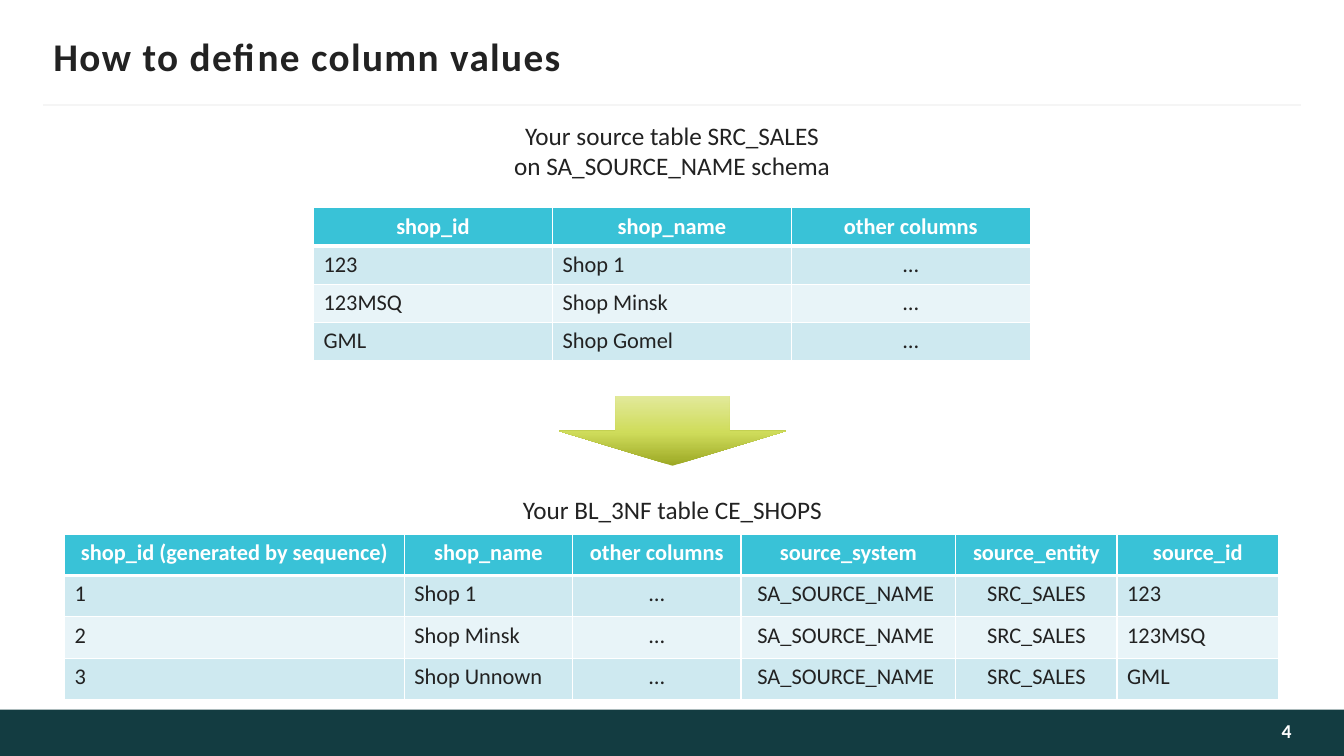
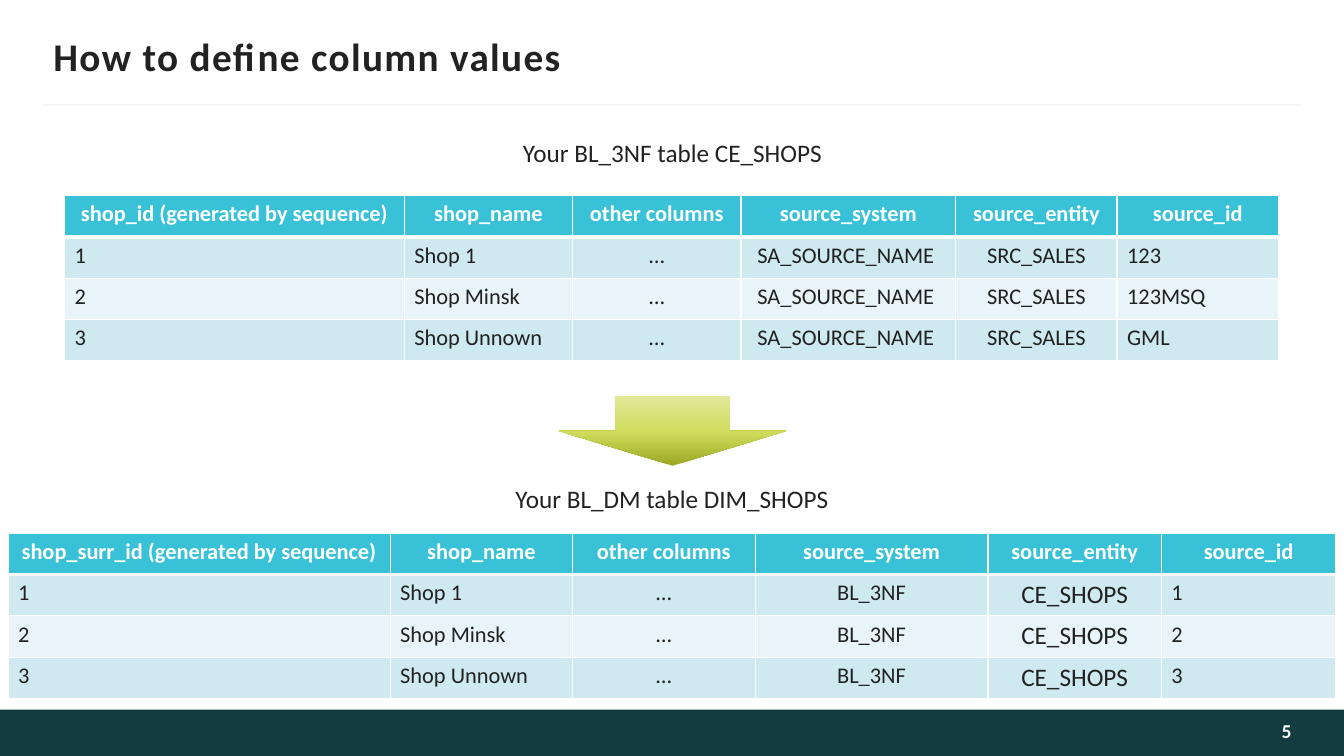
import copy

import lxml.etree
import pptx
import pptx.dml.color
import pptx.enum.shapes
import pptx.enum.text
import pptx.oxml.ns
import pptx.util

Inches = pptx.util.Inches
Pt = pptx.util.Pt
ALIGN = pptx.enum.text.PP_ALIGN
SHAPE = pptx.enum.shapes.MSO_SHAPE
qn = pptx.oxml.ns.qn

COLORS = {
    "text": "222222", "white": "FFFFFF", "number": "FEFEFE",
    "band": "133C41", "rule": "F5F5F5", "header": "39C2D7",
    "odd row": "CEE9F0", "even row": "E8F4F8",
    "arrow dark": "9CA824", "arrow mid": "CFDC5B", "arrow light": "E2E99A",
}
COLOR = {name: pptx.dml.color.RGBColor.from_string(value) for name, value in COLORS.items()}
FONT = "Calibri"
TITLE = "How to define column values"
ARROW_STOPS = [(0, "arrow dark"), (0.48, "arrow mid"), (1, "arrow light")]

# Table contents
SOURCE_COLUMNS = ["source_system", "source_entity", "source_id"]
SHOP_COLUMNS = ["shop_name", "other columns"]
SHOPS = ["Shop 1", "Shop Minsk", "Shop Unnown"]
SOURCE_IDS = ["123", "123MSQ", "GML"]
CENTERED = {"other columns", "source_system", "source_entity"}

src_sales = [["shop_id"] + SHOP_COLUMNS]
for source_id, shop in zip(SOURCE_IDS, ["Shop 1", "Shop Minsk", "Shop Gomel"]):
    src_sales.append([source_id, shop, "…"])
ce_shops = [["shop_id (generated by sequence)"] + SHOP_COLUMNS + SOURCE_COLUMNS]
dim_shops = [["shop_surr_id (generated by sequence)"] + SHOP_COLUMNS + SOURCE_COLUMNS]
for number, (shop, source_id) in enumerate(zip(SHOPS, SOURCE_IDS), 1):
    ce_shops.append([str(number), shop, "…", "SA_SOURCE_NAME ", "SRC_SALES", source_id])
    dim_shops.append([str(number), shop, "…", "BL_3NF", "CE_SHOPS", str(number)])

SRC_WIDTHS = [2.37] * 3
CE_WIDTHS = [3.37, 1.67, 1.67, 2.13, 1.6, 1.6]
DIM_WIDTHS = [3.79, 1.81, 1.81, 2.31, 1.72, 1.73]

# Captions: lines, left, top, width, height
# Tables: rows, left, top, column widths, row height
PAGES = [
    {
        "number": "4",
        "captions": [
            (["Your source table SRC_SALES", "on SA_SOURCE_NAME schema"], 4.49, 1.14, 4.35, 0.71),
            (["Your BL_3NF table CE_SHOPS"], 4.09, 4.85, 5.16, 0.4),
        ],
        "tables": [
            (src_sales, 3.11, 2.06, SRC_WIDTHS, 0.38),
            (ce_shops, 0.64, 5.3, CE_WIDTHS, 0.41),
        ],
    },
    {
        "number": "5",
        "captions": [
            (["Your BL_3NF table CE_SHOPS"], 4.09, 1.31, 5.16, 0.4),
            (["Your BL_DM table DIM_SHOPS"], 4.72, 4.75, 3.89, 0.4),
        ],
        "tables": [
            (ce_shops, 0.64, 1.94, CE_WIDTHS, 0.41),
            (dim_shops, 0.08, 5.29, DIM_WIDTHS, 0.41),
        ],
    },
]


def add_span(para, text, size, color, bold=False, align=ALIGN.LEFT):
    para.alignment = align
    span = para.add_run()
    span.text = text
    span.font.name = FONT
    span.font.size = Pt(size)
    span.font.bold = bold
    span.font.color.rgb = COLOR[color]
    return span


def add_box(page, left, top, width, height, margins=(0.1, 0.05, 0.1, 0.05)):
    box = page.shapes.add_textbox(Inches(left), Inches(top), Inches(width), Inches(height))
    frame = box.text_frame
    frame.word_wrap = True
    frame.margin_left, frame.margin_top, frame.margin_right, frame.margin_bottom = map(Inches, margins)
    return frame


deck = pptx.Presentation()
deck.slide_width = Inches(13.33)
deck.slide_height = Inches(7.5)

for content in PAGES:
    page = deck.slides.add_slide(deck.slide_layouts[6])

    # Footer band
    band = page.shapes.add_shape(SHAPE.RECTANGLE, 0, Inches(7.04), deck.slide_width, Inches(0.46))
    band.shadow.inherit = False
    band.fill.solid()
    band.fill.fore_color.rgb = COLOR["band"]
    band.line.fill.background()

    # Rule below the title
    rule = page.shapes.add_connector(
        pptx.enum.shapes.MSO_CONNECTOR.STRAIGHT, Inches(0.43), Inches(1.04), Inches(12.9), Inches(1.04))
    rule.line.color.rgb = COLOR["rule"]
    rule.line.width = Pt(1.5)
    lxml.etree.SubElement(rule._element.spPr, qn("a:effectLst"))

    # Title and page number
    frame = add_box(page, 0.53, 0.33, 12.29, 0.44, (0, 0.05, 0, 0.05))
    frame.vertical_anchor = pptx.enum.text.MSO_ANCHOR.MIDDLE
    span = add_span(frame.paragraphs[0], TITLE, 28, "text", True)
    span.font._element.set("spc", "100")
    frame = add_box(page, 10.81, 7.04, 2, 0.46, (0.1, 0.05, 0, 0.09))
    frame.vertical_anchor = pptx.enum.text.MSO_ANCHOR.MIDDLE
    add_span(frame.paragraphs[0], content["number"], 14, "number", True, ALIGN.RIGHT)

    # Table captions
    for lines, left, top, width, height in content["captions"]:
        frame = add_box(page, left, top, width, height)
        for index, line in enumerate(lines):
            para = frame.add_paragraph() if index else frame.paragraphs[0]
            add_span(para, line, 18, "text", align=ALIGN.CENTER)

    # Tables
    for rows, left, top, widths, row_height in content["tables"]:
        table = page.shapes.add_table(
            len(rows), len(widths), Inches(left), Inches(top),
            Inches(sum(widths)), Inches(row_height * len(rows))).table
        table.horz_banding = False
        for column, width in zip(table.columns, widths):
            column.width = Inches(width)
        for row_index, row in enumerate(rows):
            table.rows[row_index].height = Inches(row_height)
            is_header = row_index == 0
            fill = "header" if is_header else ("odd row" if row_index % 2 else "even row")
            for column_index, text in enumerate(row):
                cell = table.cell(row_index, column_index)
                properties = cell._tc.get_or_add_tcPr()
                for side in ("lnL", "lnR", "lnT", "lnB"):
                    # The line between header and body is thicker
                    thick = (row_index, side) in ((0, "lnB"), (1, "lnT"))
                    border = lxml.etree.SubElement(properties, qn("a:" + side), w=str(Pt(3 if thick else 1)))
                    solid = lxml.etree.SubElement(border, qn("a:solidFill"))
                    lxml.etree.SubElement(solid, qn("a:srgbClr"), val=COLORS["white"])
                cell.fill.solid()
                cell.fill.fore_color.rgb = COLOR[fill]
                centered = is_header or rows[0][column_index] in CENTERED
                add_span(
                    cell.text_frame.paragraphs[0], text, 18 if text == "CE_SHOPS" else 16,
                    "white" if is_header else "text", is_header,
                    ALIGN.CENTER if centered else ALIGN.LEFT)

    # Arrow from the upper table to the lower one
    arrow = page.shapes.add_shape(SHAPE.DOWN_ARROW, Inches(5.54), Inches(3.93), Inches(2.26), Inches(0.69))
    arrow.shadow.inherit = False
    arrow.line.fill.background()
    arrow.fill.gradient()
    arrow.fill.gradient_angle = 90
    stop_list = arrow._element.spPr.find(qn("a:gradFill")).find(qn("a:gsLst"))
    stop_list.append(copy.deepcopy(stop_list[0]))
    for stop, (position, color) in zip(arrow.fill.gradient_stops, ARROW_STOPS):
        stop.position = position
        stop.color.rgb = COLOR[color]

deck.save("out.pptx")
